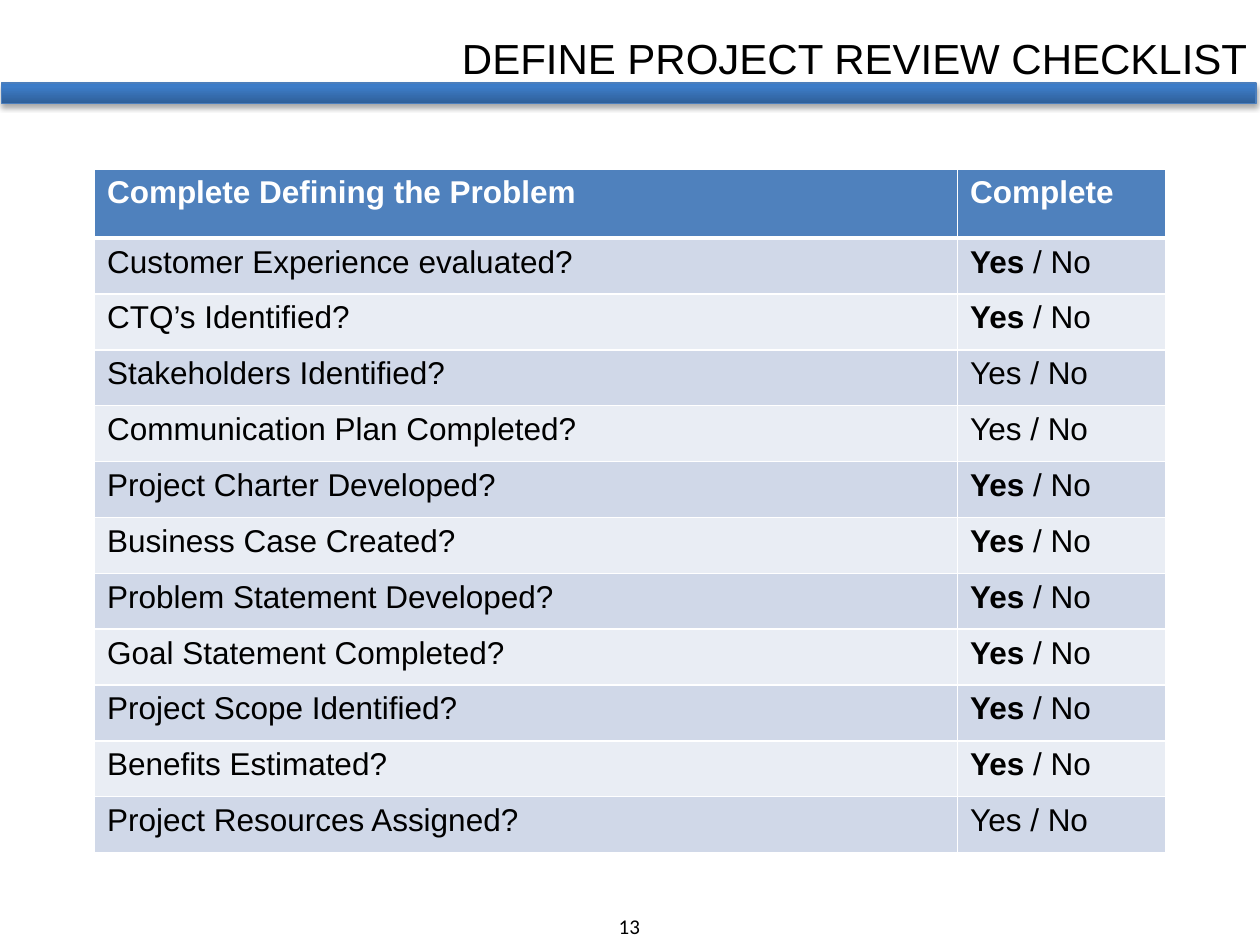
from copy import deepcopy

from lxml import etree
from pptx import Presentation
from pptx import util as u
from pptx.dml.color import RGBColor
from pptx.enum import shapes, text
from pptx.oxml import ns

COLORS = {
    "black": "000000", "white": "FFFFFF",
    "header": "4F81BD", "odd_row": "D0D8E8", "even_row": "E9EDF4",
    "bar_line": "4B7EBC",
}
BAR_STOPS = [(0, "2F5F99"), (0.8, "3D7CC7"), (1, "3A7CCB")]

# Question, and whether its "Yes" is marked
CHECKLIST = [
    ("Customer Experience evaluated?", True),
    ("CTQ’s Identified?", True),
    ("Stakeholders Identified?", False),
    ("Communication Plan Completed?", False),
    ("Project Charter Developed?", True),
    ("Business Case Created?", True),
    ("Problem Statement Developed?", True),
    ("Goal Statement Completed?", True),
    ("Project Scope Identified?", True),
    ("Benefits Estimated?", True),
    ("Project Resources Assigned?", False),
]


def rgb(name):
    return RGBColor.from_string(COLORS[name])


def add_run(paragraph, words, color="black", **font_format):
    run = paragraph.add_run()
    run.text = words
    settings = {"name": "Arial", "size": u.Pt(18), "bold": False, **font_format}
    for attribute, value in settings.items():
        setattr(run.font, attribute, value)
    run.font.color.rgb = rgb(color)


def add_label(slide, box, words, alignment, **font_format):
    frame = slide.shapes.add_textbox(*map(u.Inches, box)).text_frame
    frame.word_wrap = True
    frame.auto_size = text.MSO_AUTO_SIZE.SHAPE_TO_FIT_TEXT
    paragraph = frame.paragraphs[0]
    paragraph.alignment = alignment
    add_run(paragraph, words, **font_format)


def add_bar(slide, box):
    bar = slide.shapes.add_shape(shapes.MSO_SHAPE.RECTANGLE, *map(u.Inches, box))
    bar.line.color.rgb = rgb("bar_line")
    bar.line.width = u.Pt(0.75)

    # Three-stop gradient running upwards
    bar.fill.gradient()
    bar.fill.gradient_angle = 90
    properties = bar._element.spPr
    stop_list = properties.find(".//" + ns.qn("a:gsLst"))
    stop_list.append(deepcopy(stop_list[-1]))
    for stop, (position, color) in zip(bar.fill.gradient_stops, BAR_STOPS):
        stop.position = position
        stop.color.rgb = RGBColor.from_string(color)

    # Soft shadow below
    bar.shadow.inherit = False
    effects = properties.find(ns.qn("a:effectLst"))
    shadow = etree.SubElement(effects, ns.qn("a:outerShdw"), blurRad=str(u.Pt(3.1)),
                              dist=str(u.Pt(1.8)), dir="5400000", rotWithShape="0")
    color = etree.SubElement(shadow, ns.qn("a:srgbClr"), val=COLORS["black"])
    etree.SubElement(color, ns.qn("a:alpha"), val="35000")


def style_cell(cell, fill, top=1, bottom=1):
    properties = cell._tc.get_or_add_tcPr()
    for side, width in {"L": 1, "R": 1, "T": top, "B": bottom}.items():
        line = etree.SubElement(properties, ns.qn("a:ln" + side), w=str(u.Pt(width)))
        solid = etree.SubElement(line, ns.qn("a:solidFill"))
        etree.SubElement(solid, ns.qn("a:srgbClr"), val=COLORS["white"])
    cell.fill.solid()
    cell.fill.fore_color.rgb = rgb(fill)


def add_checklist(slide, box, header_height=0.55, answer_width=1.65):
    left, top, width, height = box
    table = slide.shapes.add_table(len(CHECKLIST) + 1, 2, *map(u.Inches, box)).table
    table.columns[0].width = u.Inches(width - answer_width)
    table.columns[1].width = u.Inches(answer_width)
    for row in table.rows:
        row.height = u.Inches((height - header_height) / len(CHECKLIST))
    table.rows[0].height = u.Inches(header_height)

    # Header row
    for column, words in enumerate(["Complete Defining the Problem", "Complete"]):
        cell = table.cell(0, column)
        style_cell(cell, "header", bottom=3)
        add_run(cell.text_frame.paragraphs[0], words, "white", bold=True)

    # Questions and answers
    for index, (question, marked) in enumerate(CHECKLIST, start=1):
        cells = [table.cell(index, column) for column in range(2)]
        for cell in cells:
            style_cell(cell, "odd_row" if index % 2 else "even_row",
                       top=3 if index == 1 else 1)
        add_run(cells[0].text_frame.paragraphs[0], question)
        answer = cells[1].text_frame.paragraphs[0]
        if marked:
            add_run(answer, "Yes", bold=True)
            add_run(answer, " / No")
        else:
            add_run(answer, "Yes / No")


def main():
    presentation = Presentation()
    presentation.slide_width = u.Inches(10)
    presentation.slide_height = u.Inches(7.5)
    slide = presentation.slides.add_slide(presentation.slide_layouts[6])

    add_label(slide, (4.68, 7.2, 0.63, 0.3), "13", text.PP_ALIGN.CENTER,
              name="Calibri", size=u.Pt(12))
    add_bar(slide, (0.01, 0.66, 9.96, 0.16))
    add_label(slide, (2.87, 0.21, 7.13, 0.5), "DEFINE PROJECT REVIEW CHECKLIST",
              text.PP_ALIGN.RIGHT, size=u.Pt(24))
    add_checklist(slide, (0.75, 1.34, 8.5, 5.43))

    presentation.save("out.pptx")


if __name__ == "__main__":
    main()
